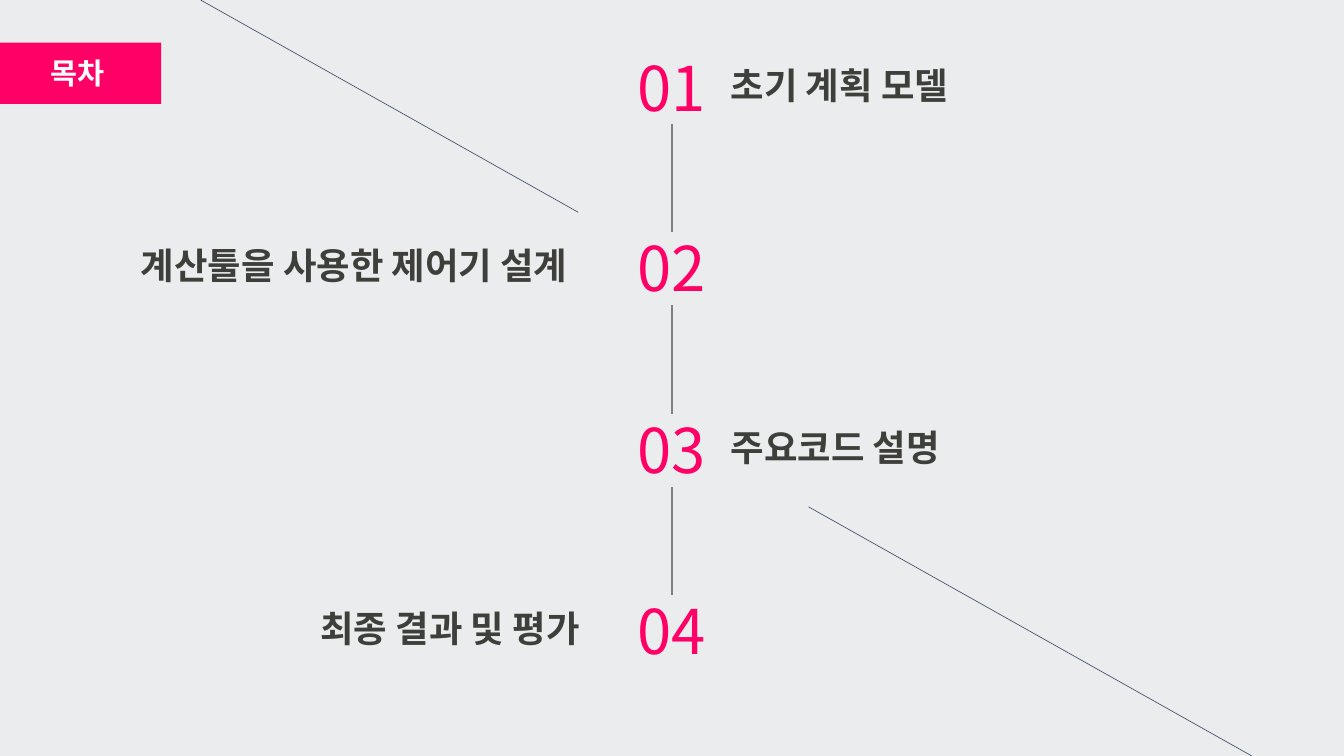
from lxml import etree
from pptx import Presentation
from pptx.dml.color import RGBColor
from pptx.enum.shapes import MSO_CONNECTOR, MSO_SHAPE
from pptx.enum.text import MSO_ANCHOR, PP_ALIGN
from pptx.oxml.ns import qn
from pptx.util import Pt

RECT = MSO_SHAPE.RECTANGLE
LINE = MSO_CONNECTOR.STRAIGHT
LEFT, MID, RIGHT = PP_ALIGN.LEFT, PP_ALIGN.CENTER, PP_ALIGN.RIGHT
FONT = "Noto Sans CJK KR"
PINK, DARK, GRAY, SLATE = "FF0066", "3E3E3B", "808080", "4C586F"

# Number, number top, label, label left, label width
ITEMS = [
    ("01", 32.4, "초기 계획 모델", 514.8, 180),
    ("02", 160.6, "계산툴을 사용한 제어기 설계", 93.6, 352),
    ("03", 290.5, "주요코드 설명", 514.8, 173.5),
    ("04", 420.2, "최종 결과 및 평가", 221.8, 224),
]


def color(code):
    return RGBColor.from_string(code)


def add_run(para, text, size, code, bold=False):
    run = para.add_run()
    run.text = text
    font = run.font
    font.name, font.size, font.bold = FONT, Pt(size), bold
    font.color.rgb = color(code)
    # Hangul takes its face from the East Asian font
    east = etree.SubElement(font._element, qn("a:ea"))
    east.set("typeface", FONT)


def add_text(slide, x, y, w, h, text, size, code, align=LEFT, bold=False):
    frame = slide.shapes.add_textbox(Pt(x), Pt(y), Pt(w), Pt(h)).text_frame
    frame.word_wrap = True
    para = frame.paragraphs[0]
    para.alignment = align
    add_run(para, text, size, code, bold)


def add_line(slide, x1, y1, x2, y2, code, width):
    line = slide.shapes.add_connector(LINE, Pt(x1), Pt(y1), Pt(x2), Pt(y2))
    line.line.color.rgb = color(code)
    line.line.width = Pt(width)
    etree.SubElement(line._element.spPr, qn("a:effectLst"))


def add_tag(slide, text):
    tag = slide.shapes.add_shape(RECT, 0, Pt(30.4), Pt(115.2), Pt(43.8))
    tag.shadow.inherit = False
    tag.fill.solid()
    tag.fill.fore_color.rgb = color(PINK)
    tag.line.fill.background()
    frame = tag.text_frame
    frame.vertical_anchor = MSO_ANCHOR.MIDDLE
    frame.margin_right = Pt(40.3)
    para = frame.paragraphs[0]
    para.alignment = RIGHT
    add_run(para, text, 21, "FFFFFF", True)


def main():
    deck = Presentation()
    deck.slide_width, deck.slide_height = Pt(960), Pt(540)
    slide = deck.slides.add_slide(deck.slide_layouts[6])
    back = slide.background.fill
    back.solid()
    back.fore_color.rgb = color("EBECED")

    add_tag(slide, "목차")

    # Links between the numbers
    for step in range(len(ITEMS) - 1):
        top = 88.4 + 129.7 * step
        add_line(slide, 480, top, 480, top + 77.4, GRAY, 1.5)

    # Contents
    for num, top, label, x, w in ITEMS:
        add_text(slide, 445, top, 70, 60.5, num, 44, PINK, MID)
        add_text(slide, x, top + 9.5, w, 38.5, label, 26, DARK, bold=True)

    # Slanted lines
    add_line(slide, 143.3, 0, 413, 151.6, SLATE, 0.5)
    add_line(slide, 577.5, 362, 894.2, 540, SLATE, 0.5)

    deck.save("out.pptx")


if __name__ == "__main__":
    main()
